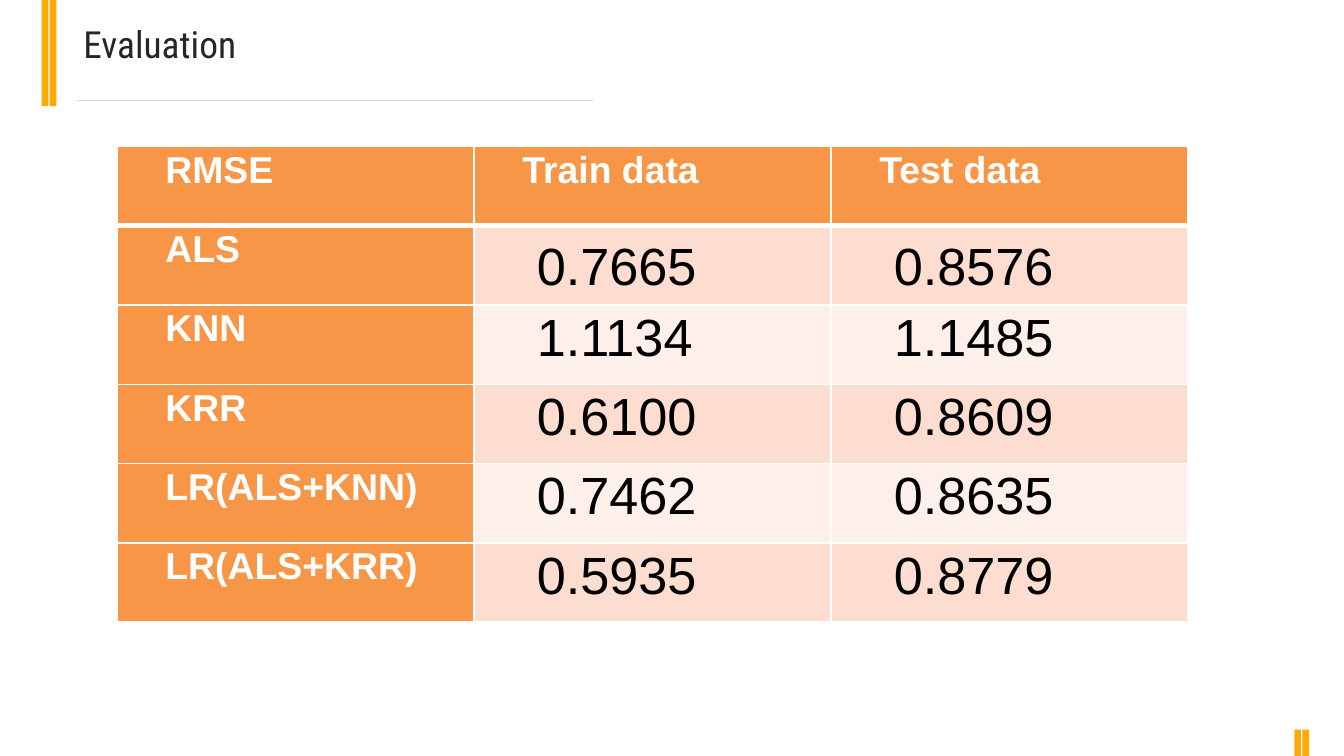
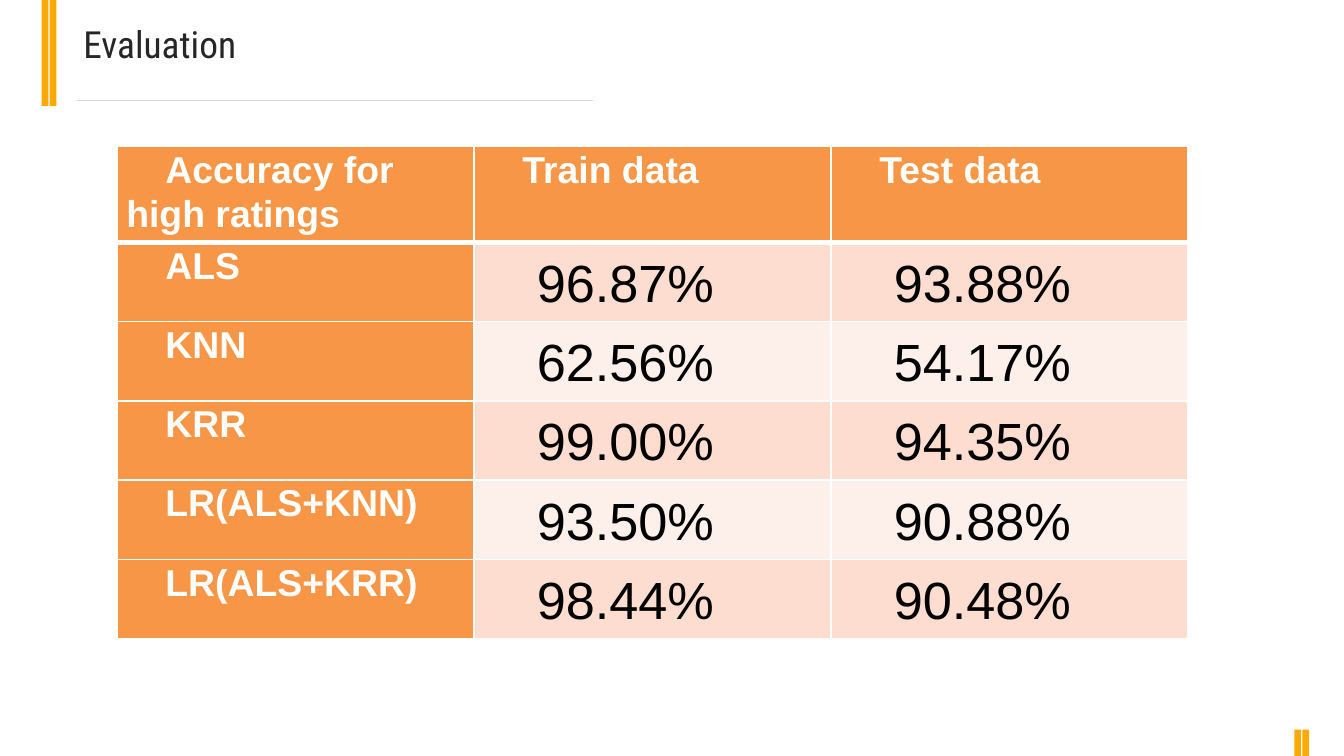
import dataclasses

import pptx
import pptx.dml.color
import pptx.enum.shapes
import pptx.enum.text
import pptx.oxml
import pptx.oxml.ns
import pptx.util

Inches = pptx.util.Inches
Pt = pptx.util.Pt
TITLE_ONLY = 5


@dataclasses.dataclass(frozen=True)
class Theme:
    accent: str = "FDA907"
    rule: str = "D9D9D9"
    title: str = "262626"
    heading_fill: str = "F79646"
    heading_text: str = "FFFFFF"
    value_text: str = "000000"
    row_fills: tuple = ("FCDDCF", "FDEFE9")
    border: str = "FFFFFF"
    title_font: str = "Roboto Condensed"
    table_font: str = "Arial"
    heading_size: int = 20
    value_size: int = 28


def rgb(value):
    return pptx.dml.color.RGBColor.from_string(value)


def apply(target, formats):
    for name, value in formats.items():
        setattr(target, name, value)


class EvaluationDeck:
    def __init__(self, theme):
        self.theme = theme
        self.deck = pptx.Presentation()
        # Widescreen, 16:9
        apply(self.deck, {"slide_width": Inches(10), "slide_height": Inches(10 * 9 / 16)})
        self.slide = None

    def start_slide(self, title):
        self.slide = self.deck.slides.add_slide(self.deck.slide_layouts[TITLE_ONLY])
        # Double bars at the top left and bottom right
        for left, top, height in ((0.31, 0, 0.79), (9.63, 5.43, 0.2)):
            for offset in (0, 0.06):
                self.bar(left + offset, top, height)
        self.rule(0.57, 4.41, 0.75)
        self.title(title)

    def bar(self, left, top, height):
        bar = self.slide.shapes.add_shape(
            pptx.enum.shapes.MSO_SHAPE.RECTANGLE,
            Inches(left), Inches(top), Inches(0.05), Inches(height))
        bar.shadow.inherit = False
        bar.fill.solid()
        bar.fill.fore_color.rgb = rgb(self.theme.accent)
        bar.line.fill.background()

    def rule(self, start, end, top):
        rule = self.slide.shapes.add_connector(
            pptx.enum.shapes.MSO_CONNECTOR.STRAIGHT,
            Inches(start), Inches(top), Inches(end), Inches(top))
        rule.line.color.rgb = rgb(self.theme.rule)
        rule.line.width = Pt(0.75)
        rule._element.spPr.append(pptx.oxml.parse_xml(
            f'<a:effectLst {pptx.oxml.ns.nsdecls("a")}/>'))

    def title(self, text):
        title = self.slide.shapes.title
        apply(title, {"left": Inches(0.52), "top": Inches(0.11),
                      "width": Inches(4.23), "height": Inches(0.44)})
        apply(title.text_frame, {
            "text": text, "word_wrap": True,
            "auto_size": pptx.enum.text.MSO_AUTO_SIZE.SHAPE_TO_FIT_TEXT,
            "vertical_anchor": pptx.enum.text.MSO_ANCHOR.TOP})
        paragraph = title.text_frame.paragraphs[0]
        paragraph.alignment = pptx.enum.text.PP_ALIGN.LEFT
        self.style_font(paragraph.runs[0].font, self.theme.title_font,
                        self.theme.heading_size, self.theme.title, False)

    def style_font(self, font, name, size, color, bold):
        apply(font, {"name": name, "size": Pt(size), "bold": bold})
        font.color.rgb = rgb(color)

    def table(self, rows, middle_rows):
        """Draw the scores; values in middle_rows are centred vertically."""
        scores = self.slide.shapes.add_table(
            len(rows), len(rows[0]), Inches(0.87), Inches(1.09),
            Inches(7.97), Inches(0.59 * len(rows))).table
        for row in scores.rows:
            row.height = Inches(0.59)
        for r, row in enumerate(rows):
            for c, text in enumerate(row):
                is_heading = r == 0 or c == 0
                self.cell(scores.cell(r, c), text, r, is_heading,
                          not is_heading and r in middle_rows)

    def cell(self, cell, text, row, is_heading, is_middle):
        theme = self.theme
        anchors = pptx.enum.text.MSO_ANCHOR
        # Values start with one no-break space
        apply(cell, {
            "text": text if is_heading else f" {text}",
            "margin_left": Inches(0.07), "margin_right": Inches(0.07),
            "margin_top": 0, "margin_bottom": 0,
            "vertical_anchor": anchors.MIDDLE if is_middle else anchors.TOP})
        cell.fill.solid()
        cell.fill.fore_color.rgb = rgb(
            theme.heading_fill if is_heading else theme.row_fills[(row - 1) % 2])
        paragraph = cell.text_frame.paragraphs[0]
        paragraph.line_spacing = 1.07
        paragraph._p.get_or_add_pPr().set("indent", str(Inches(0.29)))
        size, color = ((theme.heading_size, theme.heading_text) if is_heading
                       else (theme.value_size, theme.value_text))
        self.style_font(paragraph.runs[0].font, theme.table_font, size, color, is_heading)
        self.borders(cell, row)

    def borders(self, cell, row):
        # A thicker line separates the header from the first row
        widths = {"lnL": 1, "lnR": 1,
                  "lnT": 3 if row == 1 else 1, "lnB": 3 if row == 0 else 1}
        properties = cell._tc.get_or_add_tcPr()
        for position, (side, width) in enumerate(widths.items()):
            properties.insert(position, pptx.oxml.parse_xml(
                f'<a:{side} {pptx.oxml.ns.nsdecls("a")} w="{Pt(width)}">'
                f'<a:solidFill><a:srgbClr val="{self.theme.border}"/></a:solidFill>'
                f'</a:{side}>'))


MODELS = ("ALS", "KNN", "KRR", "LR(ALS+KNN)", "LR(ALS+KRR)")

# Measure, train values, test values, vertically centred rows
EVALUATIONS = (
    ("RMSE",
     ("0.7665", "1.1134", "0.6100", "0.7462", "0.5935"),
     ("0.8576", "1.1485", "0.8609", "0.8635", "0.8779"),
     (1,)),
    ("Accuracy for high ratings",
     ("96.87%", "62.56%", "99.00%", "93.50%", "98.44%"),
     ("93.88%", "54.17%", "94.35%", "90.88%", "90.48%"),
     range(1, 6)),
)


def main():
    evaluation = EvaluationDeck(Theme())
    for measure, train, test, middle_rows in EVALUATIONS:
        evaluation.start_slide("Evaluation")
        header = (measure, "Train data", "Test data")
        evaluation.table([header, *zip(MODELS, train, test)], middle_rows)
    evaluation.deck.save("out.pptx")


if __name__ == "__main__":
    main()
